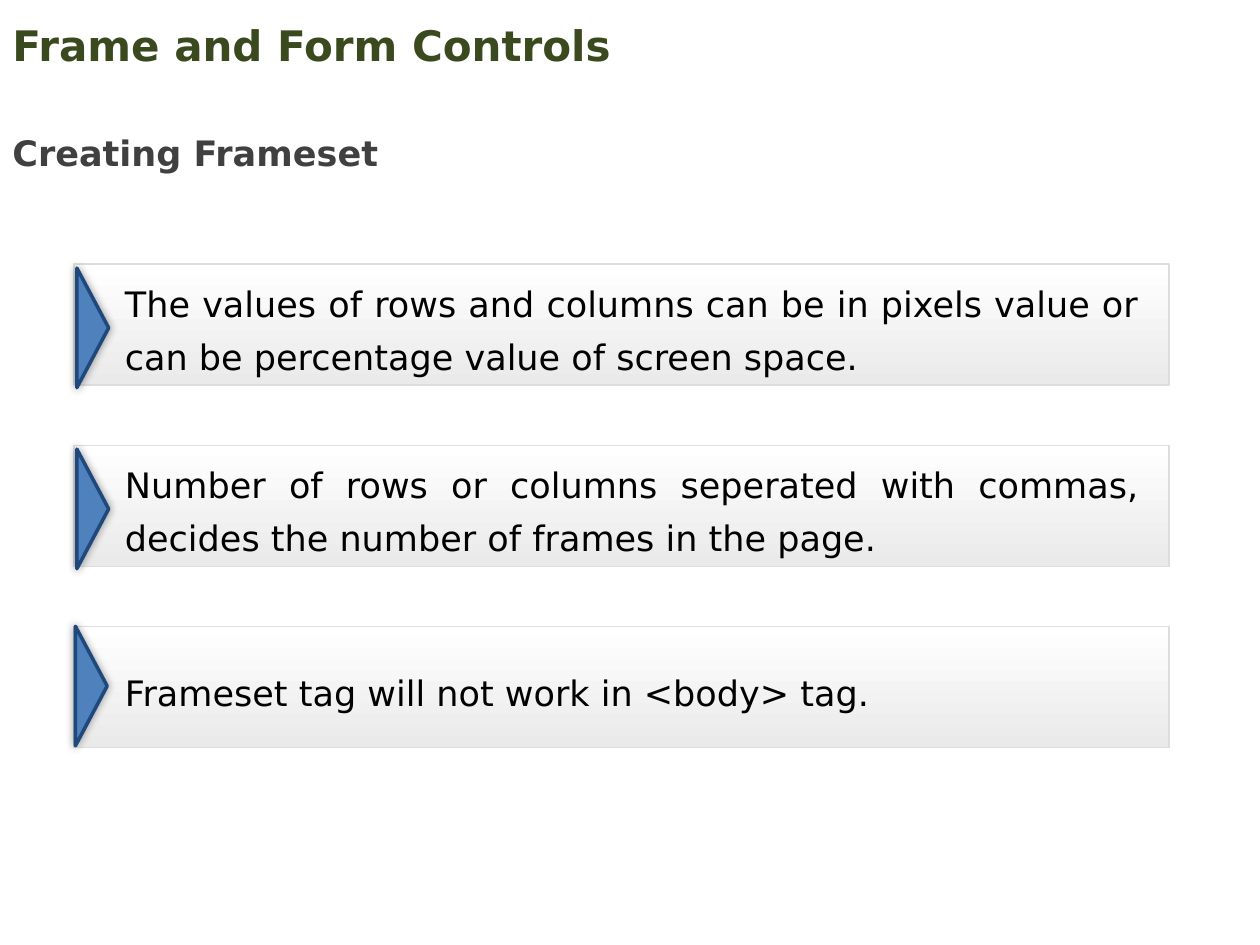
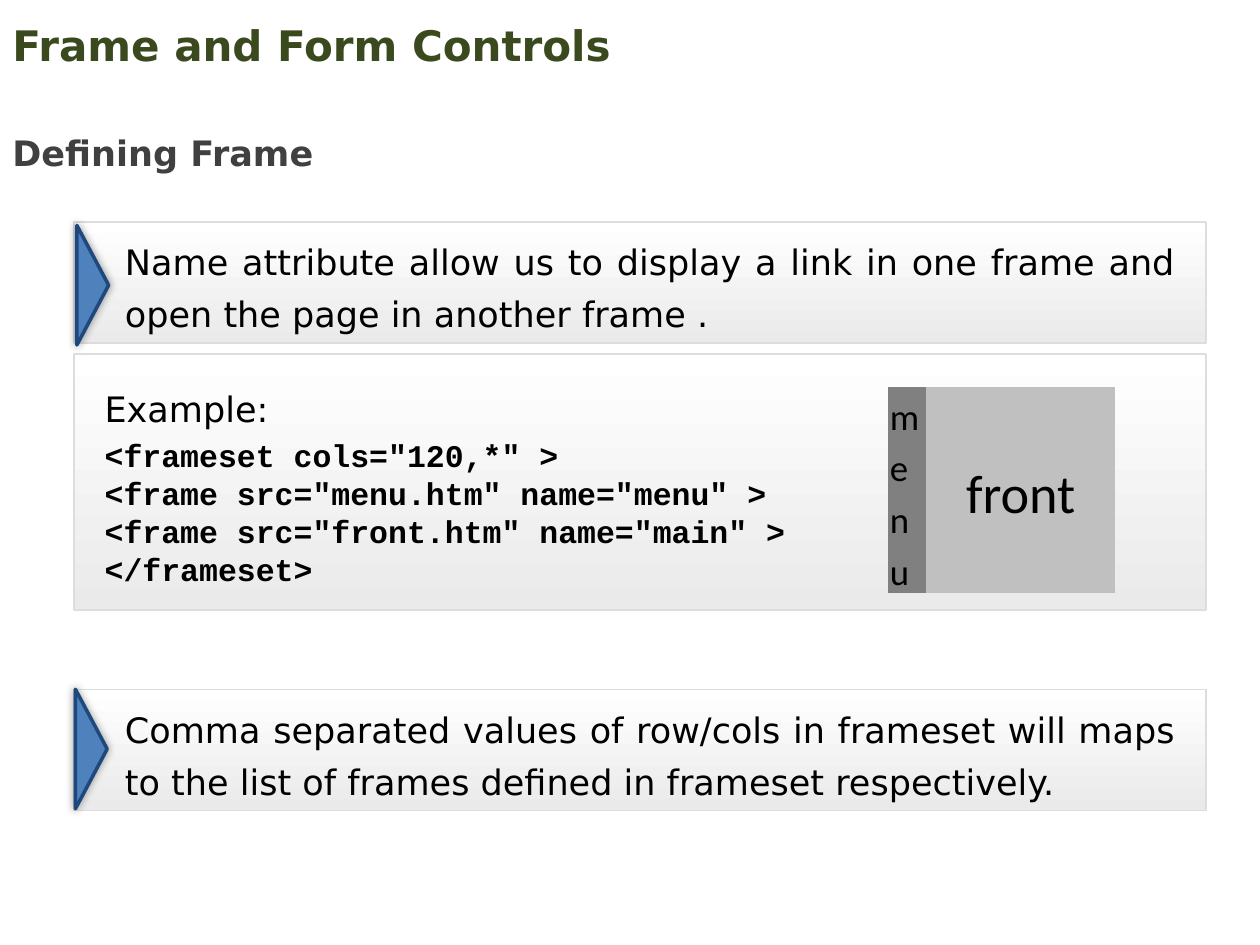
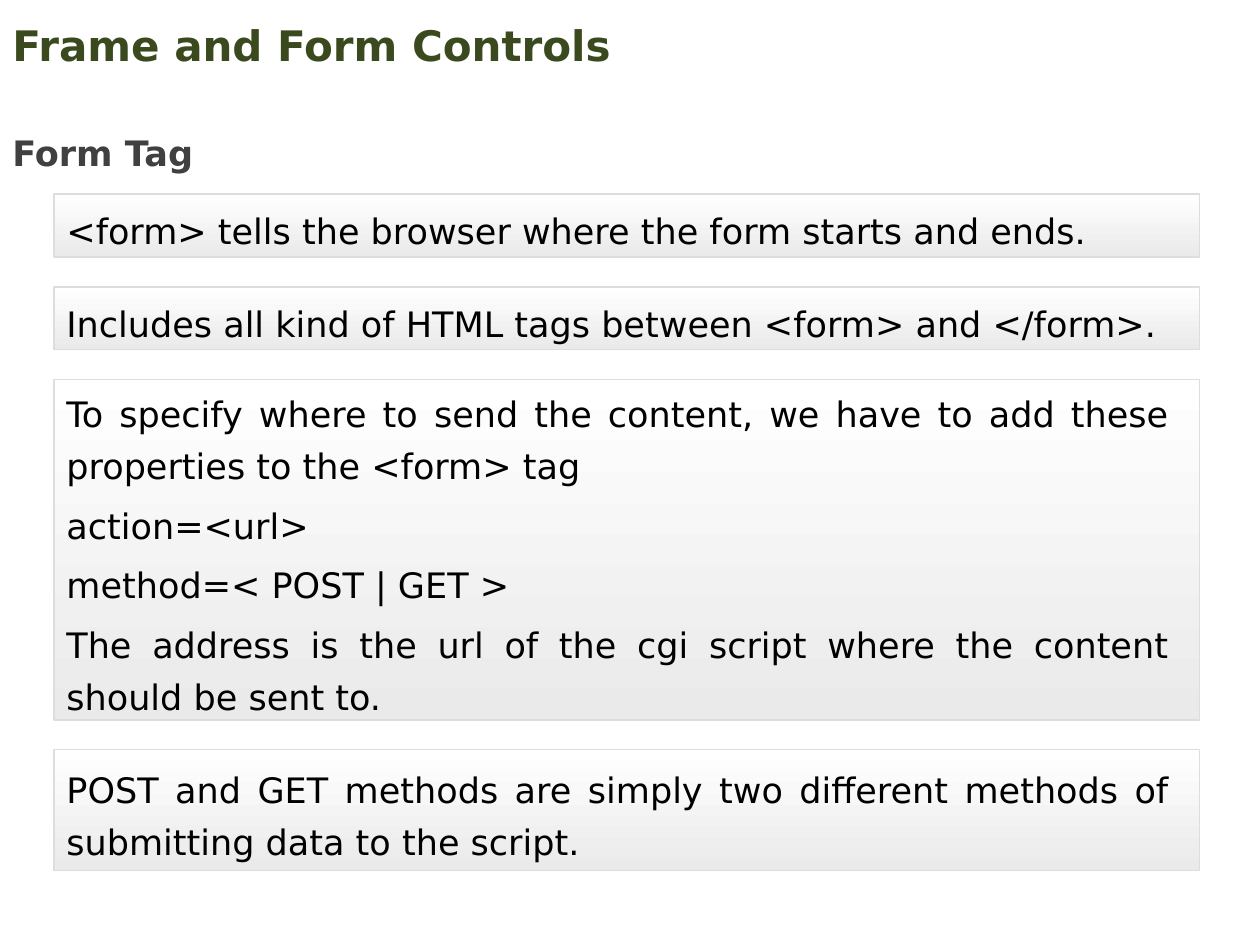
from dataclasses import dataclass

import lxml.etree
import pptx
import pptx.dml.color
import pptx.enum.shapes
import pptx.enum.text
import pptx.oxml
import pptx.oxml.ns
import pptx.util

Cm = pptx.util.Cm
Pt = pptx.util.Pt
ALIGN = pptx.enum.text.PP_ALIGN
ANCHOR = pptx.enum.text.MSO_ANCHOR
SHAPE = pptx.enum.shapes.MSO_SHAPE
qn = pptx.oxml.ns.qn


@dataclass(frozen=True)
class Theme:
    title: str = "3B4A1E"
    subtitle: str = "404040"
    ink: str = "000000"
    panel_top: str = "FFFFFF"
    panel_bottom: str = "EAEAEA"
    panel_line: str = "DDDDDD"
    marker: str = "4F81BD"
    marker_line: str = "1F497D"
    menu_fill: str = "808080"
    front_fill: str = "C0C0C0"
    sans: str = "DejaVu Sans"
    code: str = "Courier New"
    table: str = "Calibri"
    title_size: int = 24
    body_size: int = 20
    code_size: int = 18
    menu_size: int = 21
    front_size: int = 31


THEME = Theme()
NO_TABLE_STYLE = "{2D5ABB26-0587-4C30-8999-92F81FD0307C}"
PANEL_LEFT = 1.5
PANEL_HEIGHT = 2.44
MARKER_INSET = 1.02
PLAIN_INSET = 0.25
EXAMPLE_INSET = 0.61
FORM_GAP = 0.6


def rgb(color):
    return pptx.dml.color.RGBColor.from_string(color)


def style(para, font, size, color=THEME.ink, bold=False):
    para.font.name = font
    para.font.size = Pt(size)
    para.font.color.rgb = rgb(color)
    para.font.bold = bold


def set_insets(target, left, top, right, bottom):
    target.margin_left, target.margin_top = Cm(left), Cm(top)
    target.margin_right, target.margin_bottom = Cm(right), Cm(bottom)


def add_heading(page, text, top, width, height, size, color):
    box = page.shapes.add_textbox(Cm(0), Cm(top), Cm(width), Cm(height))
    box.text_frame.word_wrap = True
    para = box.text_frame.paragraphs[0]
    para.text = text
    style(para, THEME.sans, size, color, bold=True)
    return box.text_frame


def add_page(deck, subtitle):
    page = deck.slides.add_slide(deck.slide_layouts[6])
    title = add_heading(page, "Frame and Form Controls", 0.36, 22.86, 1.09,
                        THEME.title_size, THEME.title)
    title.vertical_anchor = ANCHOR.MIDDLE
    heading = add_heading(page, subtitle, 2.11, 9.78, 1.37,
                          THEME.body_size, THEME.subtitle)
    heading.auto_size = pptx.enum.text.MSO_AUTO_SIZE.SHAPE_TO_FIT_TEXT
    heading.paragraphs[0].line_spacing = 1.5
    return page


def add_panel(shapes, left, top, width, height, lines, inset, code=()):
    panel = shapes.add_shape(SHAPE.RECTANGLE, Cm(left), Cm(top), Cm(width), Cm(height))
    panel.shadow.inherit = False
    panel.fill.gradient()
    panel.fill.gradient_angle = 270
    for stop, color in zip(panel.fill.gradient_stops,
                           (THEME.panel_top, THEME.panel_bottom)):
        stop.color.rgb = rgb(color)
    panel.line.color.rgb = rgb(THEME.panel_line)
    panel.line.width = Pt(1)
    frame = panel.text_frame
    frame.word_wrap = True
    frame.vertical_anchor = ANCHOR.MIDDLE
    set_insets(frame, inset, 0, 0.61, 0)
    for index, text in enumerate([*lines, *code]):
        para = frame.add_paragraph() if index else frame.paragraphs[0]
        para.text = text
        if index < len(lines):
            para.alignment = ALIGN.JUSTIFY
            para.line_spacing = Pt(30)
            para.space_after = Pt(4)
            style(para, THEME.sans, THEME.body_size)
        else:
            para.alignment = ALIGN.LEFT
            para.line_spacing = Pt(21.6)
            style(para, THEME.code, THEME.code_size, bold=True)


def add_glow_shadow(shape):
    shape.shadow.inherit = False
    effects = shape._element.spPr.find(qn("a:effectLst"))
    shadow = lxml.etree.SubElement(effects, qn("a:outerShdw"),
                                   blurRad=str(Pt(5)), dist="0", dir="0")
    color = lxml.etree.SubElement(shadow, qn("a:srgbClr"), val=THEME.ink)
    lxml.etree.SubElement(color, qn("a:alpha"), val="40000")


def add_marker(shapes, center_x, center_y):
    length, depth = 2.41, 0.64
    marker = shapes.add_shape(SHAPE.ISOSCELES_TRIANGLE,
                              Cm(center_x - length / 2), Cm(center_y - depth / 2),
                              Cm(length), Cm(depth))
    marker.rotation = 90
    marker.fill.solid()
    marker.fill.fore_color.rgb = rgb(THEME.marker)
    marker.line.color.rgb = rgb(THEME.marker_line)
    marker.line.width = Pt(2)
    add_glow_shadow(marker)


def add_marked_panel(page, top, width, text, last=False):
    shapes = page.shapes.add_group_shape().shapes
    add_panel(shapes, PANEL_LEFT, top, width, PANEL_HEIGHT, [text], MARKER_INSET)
    shift_x, shift_y = (0.34, -0.02) if last else (0.37, 0.06)
    add_marker(shapes, PANEL_LEFT + shift_x, top + PANEL_HEIGHT / 2 + shift_y)


def add_frame_table(page):
    table = page.shapes.add_table(1, 2, Cm(17.91), Cm(7.8), Cm(4.57), Cm(4.09)).table
    table.first_row = table.horz_banding = False
    table._tbl.tblPr.find(qn("a:tableStyleId")).text = NO_TABLE_STYLE
    columns = (
        ("menu", 0.76, THEME.menu_fill, THEME.menu_size, ALIGN.LEFT),
        ("front", 3.81, THEME.front_fill, THEME.front_size, ALIGN.CENTER),
    )
    for index, (text, width, fill, size, alignment) in enumerate(columns):
        table.columns[index].width = Cm(width)
        cell = table.cell(0, index)
        cell.fill.solid()
        cell.fill.fore_color.rgb = rgb(fill)
        cell.vertical_anchor = ANCHOR.MIDDLE
        set_insets(cell, 0.03, 0.03, 0.03, 0.03)
        para = cell.text_frame.paragraphs[0]
        para.text = text
        para.alignment = alignment
        para.line_spacing = 1.15
        style(para, THEME.table, size)


def build_frameset_page(deck):
    page = add_page(deck, "Creating Frameset")
    points = (
        "The values of rows and columns can be in pixels value or can be percentage value of screen space.",
        "Number of rows or columns seperated with commas, decides the number of frames in the page.",
        "Frameset tag will not work in <body> tag.",
    )
    for index, text in enumerate(points):
        add_marked_panel(page, 5.33 + 3.65 * index, 22.07, text,
                         last=index == len(points) - 1)


def build_frame_page(deck):
    page = add_page(deck, "Defining Frame")
    width = 22.81
    add_marked_panel(page, 4.47, width,
                     "Name attribute allow us to display a link in one frame and open the page in another frame .")
    add_marked_panel(page, 13.9, width,
                     "Comma separated values of row/cols in frameset will maps to the list of frames defined in frameset respectively.",
                     last=True)
    add_panel(page.shapes, PANEL_LEFT, 7.14, width, 5.16, ["Example:"], EXAMPLE_INSET, code=(
        '<frameset cols="120,*" >',
        '<frame src="menu.htm" name="menu" >',
        '<frame src="front.htm" name="main" >',
        "</frameset>",
    ))
    add_frame_table(page)


def build_form_page(deck):
    page = add_page(deck, "Form Tag")
    panels = (
        (1.27, ["<form> tells the browser where the form starts and ends."]),
        (1.27, ["Includes all kind of HTML tags between <form> and </form>."]),
        (6.86, [
            "To specify where to send the content, we have to add these properties to the <form> tag",
            "action=<url>",
            "method=< POST | GET >",
            "The address is the url of the cgi script where the content should be sent to.",
        ]),
        (PANEL_HEIGHT, ["POST and GET methods are simply two different methods of submitting data to the script."]),
    )
    top = 3.91
    for height, lines in panels:
        add_panel(page.shapes, 1.09, top, 23.09, height, lines, PLAIN_INSET)
        top += height + FORM_GAP


def main():
    deck = pptx.Presentation()
    deck.slide_width, deck.slide_height = Cm(25.4), Cm(19.05)
    build_frameset_page(deck)
    build_frame_page(deck)
    build_form_page(deck)
    deck.save("out.pptx")


if __name__ == "__main__":
    main()
